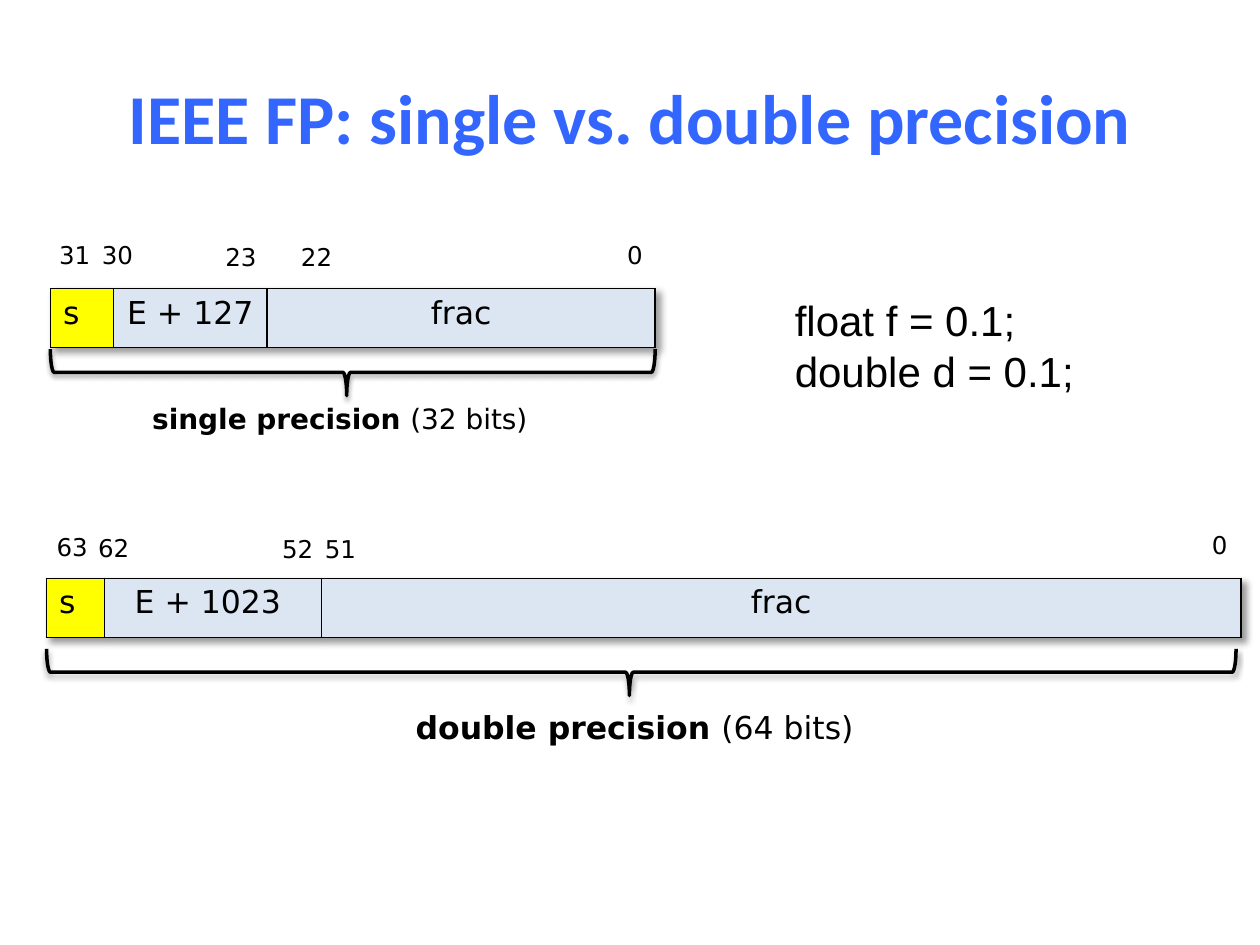
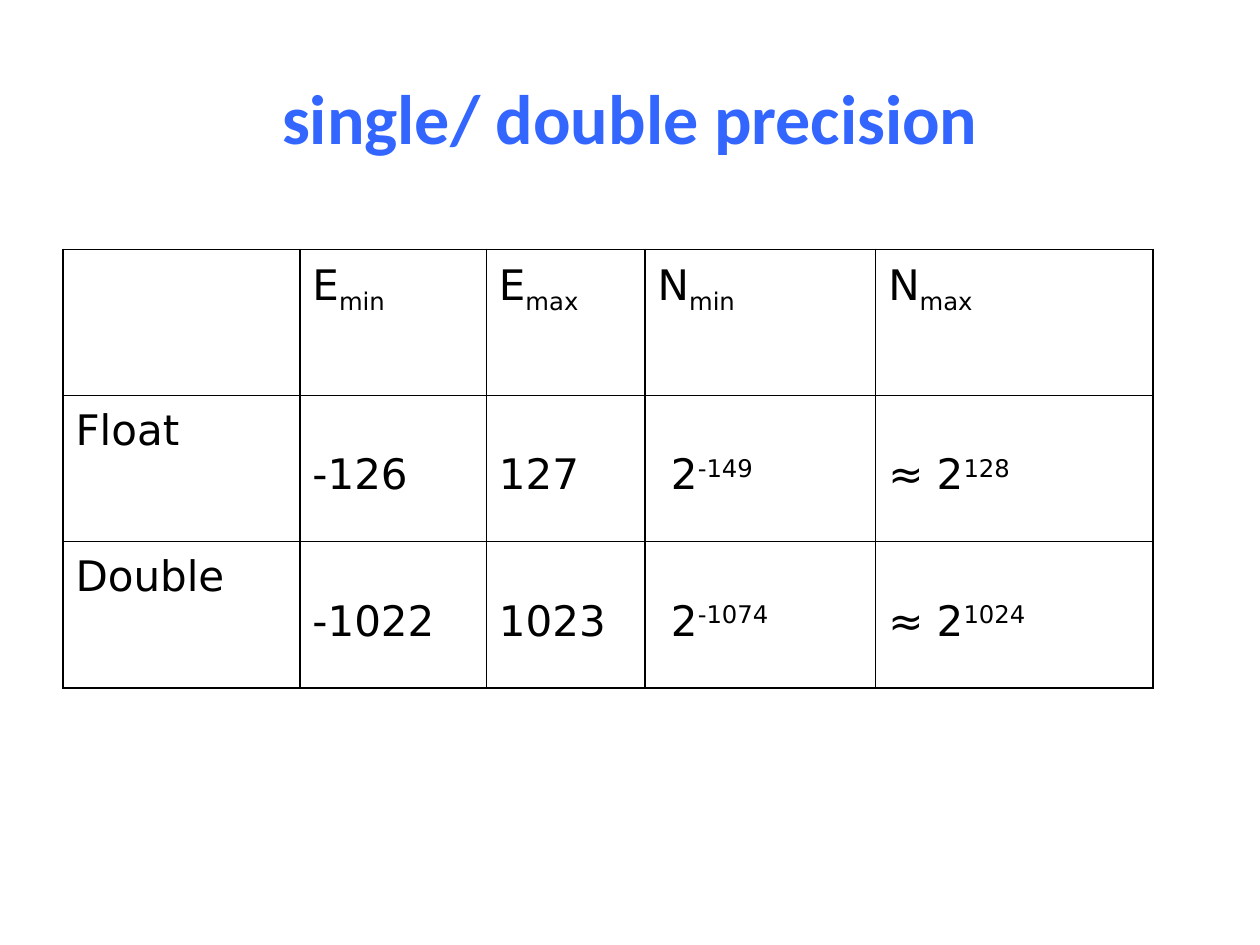
from pptx import Presentation
from pptx.dml.color import RGBColor
from pptx.enum import shapes, text
from pptx.oxml import parse_xml
from pptx.oxml.ns import nsdecls
from pptx.util import Inches, Pt

COLORS = {"title": "3366FF", "ink": "000000", "sign": "FFFF00", "field": "DCE6F2"}
BODY_FONT = "DejaVu Sans"
CENTER = text.PP_ALIGN.CENTER
TITLE_BOX = (0.5, 0.3, 9, 1.25)
ROW_HEIGHT = 0.47
BRACE_DEPTH = 0.37

FORMAT_TITLE = "IEEE FP: single vs. double precision"
FORMATS = [
    {
        "fields": ["s", "E + 127", "frac"],
        "widths": [0.5, 1.22, 3.08],
        "corner": (0.4, 2.29),
        "bits": [("31", 0.37, 1.86), ("30", 0.71, 1.86), ("23", 1.69, 1.87),
                 ("22", 2.29, 1.87), ("0", 4.88, 1.86)],
        "brace": (0.4, 2.77, 4.8),
        "name": "single precision ",
        "length": "(32 bits)",
        "caption_box": (1.11, 3.14, 3.23, 0.37),
        "caption_size": 16,
    },
    {
        "fields": ["s", "E + 1023 ", "frac"],
        "widths": [0.46, 1.72, 7.3],
        "corner": (0.37, 4.59),
        "bits": [("63", 0.35, 4.17), ("62", 0.68, 4.18), ("52", 2.14, 4.19),
                 ("51", 2.48, 4.19), ("0", 9.52, 4.16)],
        "brace": (0.37, 5.15, 9.44),
        "name": "double precision ",
        "length": "(64 bits)",
        "caption_box": (3.2, 5.57, 3.72, 0.4),
        "caption_size": 18,
    },
]
CODE = ["float f = 0.1;", "double d = 0.1;"]
CODE_BOX = (6.21, 2.29, 2.44, 0.91)

RANGE_TITLE = "single/ double precision"
RANGE_CORNER = (0.5, 1.98)
RANGE_WIDTHS = [1.88, 1.48, 1.26, 1.83, 2.2]
RANGE_ROW_HEIGHT = 1.16
SUBSCRIPT, SUPERSCRIPT = -25, 30
RANGES = [
    [("", ""), ("E", "min"), ("E", "max"), ("N", "min"), ("N", "max")],
    [("Float", ""), ("-126", ""), ("127", ""), (" 2", "-149"), ("≈ 2", "128")],
    [("Double", ""), ("-1022", ""), ("1023", ""), (" 2", "-1074"), ("≈ 2", "1024")],
]


def write(frame, paragraphs, size=18, font=BODY_FONT, color="ink", bold=False,
          align=None, line_spacing=None):
    for index, runs in enumerate(paragraphs):
        paragraph = frame.add_paragraph() if index else frame.paragraphs[0]
        paragraph.alignment = align
        paragraph.line_spacing = line_spacing
        for content, changes in runs:
            run = paragraph.add_run()
            run.text = content
            run.font.size = Pt(size)
            run.font.name = font
            run.font.bold = changes.get("bold", bold)
            run.font.color.rgb = RGBColor.from_string(COLORS[color])
            if "baseline" in changes:
                run._r.get_or_add_rPr().set("baseline", str(changes["baseline"] * 1000))


def add_titled_slide(presentation, title):
    slide = presentation.slides.add_slide(presentation.slide_layouts[5])
    shape = slide.shapes.title
    shape.left, shape.top, shape.width, shape.height = map(Inches, TITLE_BOX)
    shape.text_frame.vertical_anchor = text.MSO_ANCHOR.MIDDLE
    write(shape.text_frame, [[(title, {})]], size=40, font="Calibri", color="title",
          bold=True, align=CENTER)
    return slide


def add_text(slide, box, paragraphs, **style):
    frame = slide.shapes.add_textbox(*map(Inches, box)).text_frame
    frame.word_wrap = False
    frame.auto_size = text.MSO_AUTO_SIZE.SHAPE_TO_FIT_TEXT
    write(frame, paragraphs, **style)


def add_shadow(properties, blur, distance, direction, opacity):
    properties.append(parse_xml(
        f'<a:effectLst {nsdecls("a")}><a:outerShdw blurRad="{Pt(blur)}" '
        f'dist="{Pt(distance)}" dir="{direction * 60000}" rotWithShape="0">'
        f'<a:srgbClr val="{COLORS["ink"]}"><a:alpha val="{opacity * 1000}"/></a:srgbClr>'
        f'</a:outerShdw></a:effectLst>'))


def add_grid(slide, corner, widths, row_height, row_count):
    frame = slide.shapes.add_table(
        row_count, len(widths), *map(Inches, corner),
        Inches(sum(widths)), Inches(row_height * row_count))
    table = frame.table
    table.first_row = table.horz_banding = False
    for column, width in zip(table.columns, widths):
        column.width = Inches(width)
    for row in table.rows:
        row.height = Inches(row_height)
    for cell in table.iter_cells():
        cell.fill.background()
        properties = cell._tc.get_or_add_tcPr()
        for index, side in enumerate("LRTB"):
            properties.insert(index, parse_xml(
                f'<a:ln{side} {nsdecls("a")} w="{Pt(1)}"><a:solidFill>'
                f'<a:srgbClr val="{COLORS["ink"]}"/></a:solidFill></a:ln{side}>'))
    return table


def add_brace(slide, left, top, span):
    center_x, center_y = left + span / 2, top + BRACE_DEPTH / 2
    brace = slide.shapes.add_shape(
        shapes.MSO_SHAPE.LEFT_BRACE, Inches(center_x - BRACE_DEPTH / 2),
        Inches(center_y - span / 2), Inches(BRACE_DEPTH), Inches(span))
    brace.rotation = 270
    brace.adjustments[0] = 0.083
    brace.adjustments[1] = 0.49
    brace.fill.background()
    brace.line.color.rgb = RGBColor.from_string(COLORS["ink"])
    brace.line.width = Pt(2)
    add_shadow(brace._element.spPr, blur=3.1, distance=1.6, direction=90, opacity=38)


def add_bit_layout(slide, layout):
    table = add_grid(slide, layout["corner"], layout["widths"], ROW_HEIGHT, 1)
    table_properties = table._tbl.tblPr
    add_shadow(table_properties, blur=4, distance=3, direction=45, opacity=40)
    table_properties.insert(0, table_properties[-1])
    for index, field in enumerate(layout["fields"]):
        cell = table.cell(0, index)
        cell.fill.solid()
        cell.fill.fore_color.rgb = RGBColor.from_string(COLORS["field" if index else "sign"])
        write(cell.text_frame, [[(field, {})]], align=CENTER if index else None)
    for bit, left, top in layout["bits"]:
        width = 0.45 if len(bit) == 2 else 0.33
        add_text(slide, (left, top, width, 0.34), [[(bit, {})]], size=14)
    add_brace(slide, *layout["brace"])
    add_text(slide, layout["caption_box"],
             [[(layout["name"], {"bold": True}), (layout["length"], {})]],
             size=layout["caption_size"])


def build_formats(presentation):
    slide = add_titled_slide(presentation, FORMAT_TITLE)
    for layout in FORMATS:
        add_bit_layout(slide, layout)
    add_text(slide, CODE_BOX, [[(line, {})] for line in CODE], size=24, font="Arial")


def build_ranges(presentation):
    slide = add_titled_slide(presentation, RANGE_TITLE)
    table = add_grid(slide, RANGE_CORNER, RANGE_WIDTHS, RANGE_ROW_HEIGHT, len(RANGES))
    for row, entries in enumerate(RANGES):
        for column, (base, script) in enumerate(entries):
            runs = [(base, {})] if base else []
            if script:
                runs.append((script, {"baseline": SUPERSCRIPT if row else SUBSCRIPT}))
            write(table.cell(row, column).text_frame, [runs], size=24,
                  line_spacing=2.0 if row and column else 1.1)


def main():
    presentation = Presentation()
    presentation.slide_width, presentation.slide_height = Inches(10), Inches(7.5)
    build_formats(presentation)
    build_ranges(presentation)
    presentation.save("out.pptx")


if __name__ == "__main__":
    main()
